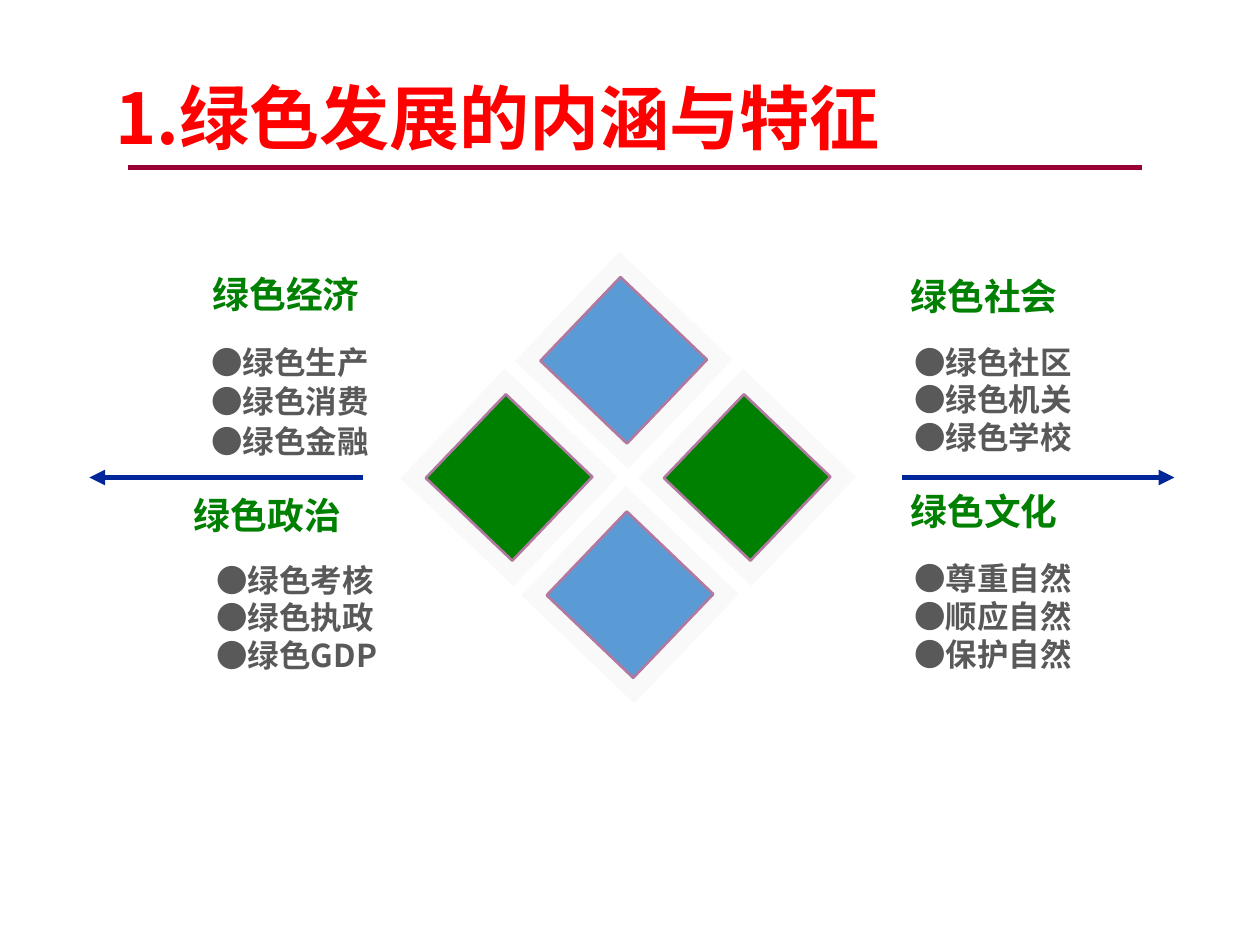
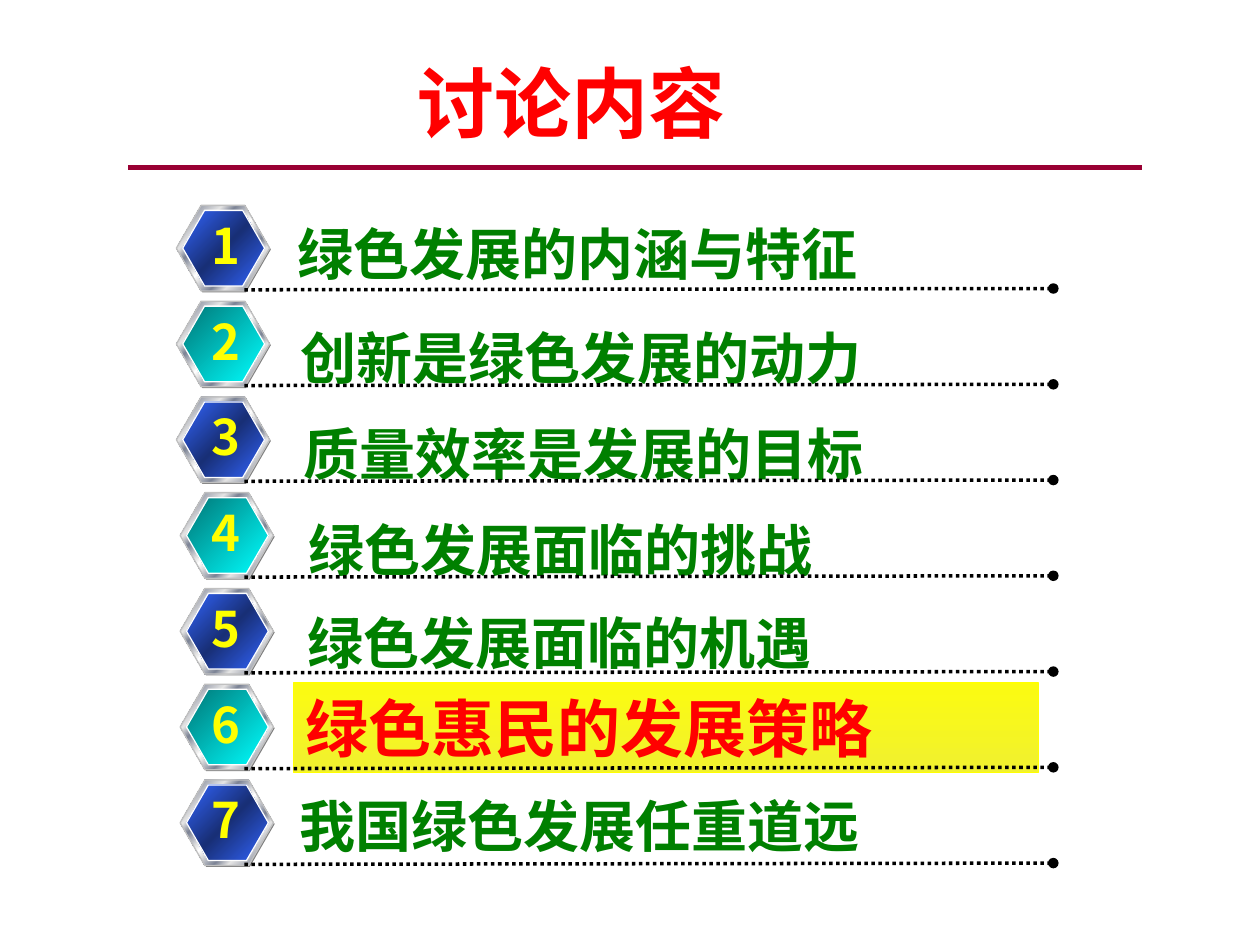
from lxml import etree
from pptx import Presentation
from pptx.dml.color import RGBColor
from pptx.enum import dml, shapes, text
from pptx.oxml import ns
from pptx.util import Inches, Pt

FONT = "Noto Sans CJK SC"
COLORS = {
    "title": "FF0000", "rule": "990033", "green": "008000", "body": "595959",
    "arrow": "002699", "mat": "F9F9F9", "blue": "5B9BD5", "tile_edge": "B179A0",
    "number": "FFFF00", "black": "000000", "white": "FFFFFF",
    "shade": "808080", "rim": "C0C0C0",
}
METAL = [(0, "E6E6E6"), (8, "7D8496"), (26, "E6E6E6"), (34, "7D8496"),
         (46, "E6E6E6"), (50, "FFFFFF"), (54, "E6E6E6"), (66, "7D8496"),
         (74, "E6E6E6"), (92, "7D8496"), (100, "E6E6E6")]
NAVY = [(0, "3366FF"), (50, "182F76"), (100, "3366FF")]
TEAL = [(0, "007676"), (100, "00FFFF")]
HIGHLIGHT = [(0, "FBFB11"), (100, "F1F12F")]

TILES = [(4.95, 2.86, "blue"), (4.04, 3.79, "green"),
         (5.0, 4.72, "blue"), (5.93, 3.79, "green")]
TOPICS = [
    ("绿色经济", 1.59, 2.11, 1.58, 2.67, 1, ["绿色生产", "绿色消费", "绿色金融"]),
    ("绿色社会", 7.13, 2.12, 7.16, 2.67, 0, ["绿色社区", "绿色机关", "绿色学校"]),
    ("绿色政治", 1.44, 3.86, 1.62, 4.4, 0, ["绿色考核", "绿色执政", "绿色GDP"]),
    ("绿色文化", 7.13, 3.83, 7.16, 4.39, 0, ["尊重自然", "顺应自然", "保护自然"]),
]
AGENDA = [
    ("绿色发展的内涵与特征", 2.26, 1.69),
    ("创新是绿色发展的动力", 2.29, 2.52),
    ("质量效率是发展的目标", 2.31, 3.28),
    ("绿色发展面临的挑战", 2.35, 4.04),
    ("绿色发展面临的机遇", 2.34, 4.78),
    ("绿色惠民的发展策略", 2.33, 5.42),
    ("我国绿色发展任重道远", 2.28, 6.23),
]
CURRENT = 5
ROW_PITCH = 0.76


def rgb(name):
    return RGBColor.from_string(COLORS[name])


def write(sp, lines, size, color, align=text.PP_ALIGN.LEFT, wrap=True, gap=0):
    tf = sp.text_frame
    tf.word_wrap = wrap
    tf.vertical_anchor = text.MSO_ANCHOR.TOP
    for i, line in enumerate(lines):
        p = tf.paragraphs[0] if i == 0 else tf.add_paragraph()
        p.alignment = align
        p.space_after = Pt(gap)
        r = p.add_run()
        r.text = line
        r.font.name = FONT
        r.font.size = Pt(size)
        r.font.bold = True
        r.font.color.rgb = rgb(color)
        ea = etree.SubElement(r.font._element, ns.qn("a:ea"))
        ea.set("typeface", FONT)


def add_text(s, lines, x, y, w, h, **fmt):
    sp = s.shapes.add_textbox(Inches(x), Inches(y), Inches(w), Inches(h))
    write(sp, lines, **fmt)


def add_line(s, x1, y1, x2, y2, color, width, tail=None, dash=None):
    c = s.shapes.add_connector(shapes.MSO_CONNECTOR.STRAIGHT, Inches(x1),
                               Inches(y1), Inches(x2), Inches(y2))
    c.line.color.rgb = rgb(color)
    c.line.width = Pt(width)
    if dash:
        c.line.dash_style = dash
    if tail:
        ln = c.line._get_or_add_ln()
        etree.SubElement(ln, ns.qn("a:tailEnd")).set("type", tail)
    etree.SubElement(c._element.spPr, ns.qn("a:effectLst"))


def set_gradient(sp, stops, angle):
    sp.fill.gradient()
    sp.fill.gradient_angle = 360 - angle
    stop_list = sp._element.spPr.find(".//" + ns.qn("a:gsLst"))
    for old in list(stop_list):
        stop_list.remove(old)
    for pos, color in stops:
        gs = etree.SubElement(stop_list, ns.qn("a:gs"))
        gs.set("pos", str(pos * 1000))
        etree.SubElement(gs, ns.qn("a:srgbClr")).set("val", color)


def add_box(s, kind, x, y, w, h, fill, edge=None, width=0.75, angle=45):
    sp = s.shapes.add_shape(kind, Inches(x), Inches(y), Inches(w), Inches(h))
    sp.shadow.inherit = False
    if isinstance(fill, list):
        set_gradient(sp, fill, angle)
    else:
        sp.fill.solid()
        sp.fill.fore_color.rgb = rgb(fill)
    if edge:
        sp.line.color.rgb = rgb(edge)
        sp.line.width = Pt(width)
    else:
        sp.line.fill.background()
    return sp


def add_tile(s, cx, cy, color):
    for w, h, fill, edge in ((1.24, 1.2, "mat", None),
                             (0.95, 0.92, color, "tile_edge")):
        sp = add_box(s, shapes.MSO_SHAPE.RECTANGLE, cx - w / 2, cy - h / 2,
                     w, h, fill, edge, 1.5)
        sp.rotation = 43.7


def add_badge(s, number, x, y, face):
    for dx, dy, w, h, fill, edge in (
            (0.01, 0.01, 0.74, 0.68, "shade", None),
            (0, 0, 0.74, 0.68, METAL, "rim"),
            (0.05, 0.04, 0.65, 0.6, face, "white")):
        sp = add_box(s, shapes.MSO_SHAPE.HEXAGON, x + dx, y + dy, w, h, fill, edge)
        sp.adjustments[0] = 0.289
    add_text(s, [str(number)], 1.58, y + 0.03, 0.4, 0.57, size=28,
             color="number", align=text.PP_ALIGN.CENTER, wrap=False)


def add_slide(prs, title, x, y, w, h, size, align):
    s = prs.slides.add_slide(prs.slide_layouts[6])
    add_line(s, 1.02, 1.33, 9.06, 1.33, "rule", 3)
    add_text(s, [title], x, y, w, h, size=size, color="title", align=align)
    return s


def build_features(prs):
    s = add_slide(prs, "1.绿色发展的内涵与特征", 0.82, 0.54, 8.51, 0.77, 40,
                  text.PP_ALIGN.LEFT)
    for start, end in ((2.88, 0.71), (7.16, 9.32)):
        add_line(s, start, 3.79, end, 3.79, "arrow", 3, tail="triangle")
    for tile in TILES:
        add_tile(s, *tile)
    for heading, hx, hy, x, y, gap, items in TOPICS:
        add_text(s, [heading], hx, hy, 1.87, 0.45, size=21, color="green")
        add_text(s, ["●" + item for item in items], x, y, 2.1, 1.01,
                 size=18, color="body", gap=gap)


def build_agenda(prs):
    s = add_slide(prs, "讨论内容", 0.04, 0.39, 9, 1.25, 44,
                  text.PP_ALIGN.CENTER)
    for i, (label, x, y) in enumerate(AGENDA):
        if i == CURRENT:
            sp = add_box(s, shapes.MSO_SHAPE.RECTANGLE, x, y, 5.91, 0.71,
                         HIGHLIGHT, "number", angle=90)
            write(sp, [label], size=36, color="title")
        else:
            add_text(s, [label], x, y, 5.1, 0.64, size=32, color="green")
        offset = i * ROW_PITCH
        add_badge(s, i + 1, 1.4 if i < 3 else 1.43, 1.63 + offset,
                  TEAL if i % 2 else NAVY)
        add_line(s, 1.94, 2.3 + offset, 8.36, 2.29 + offset, "black", 2,
                 tail="oval", dash=dml.MSO_LINE.ROUND_DOT)


def main():
    prs = Presentation()
    prs.slide_width = Inches(10)
    prs.slide_height = Inches(7.5)
    build_features(prs)
    build_agenda(prs)
    prs.save("out.pptx")


if __name__ == "__main__":
    main()
